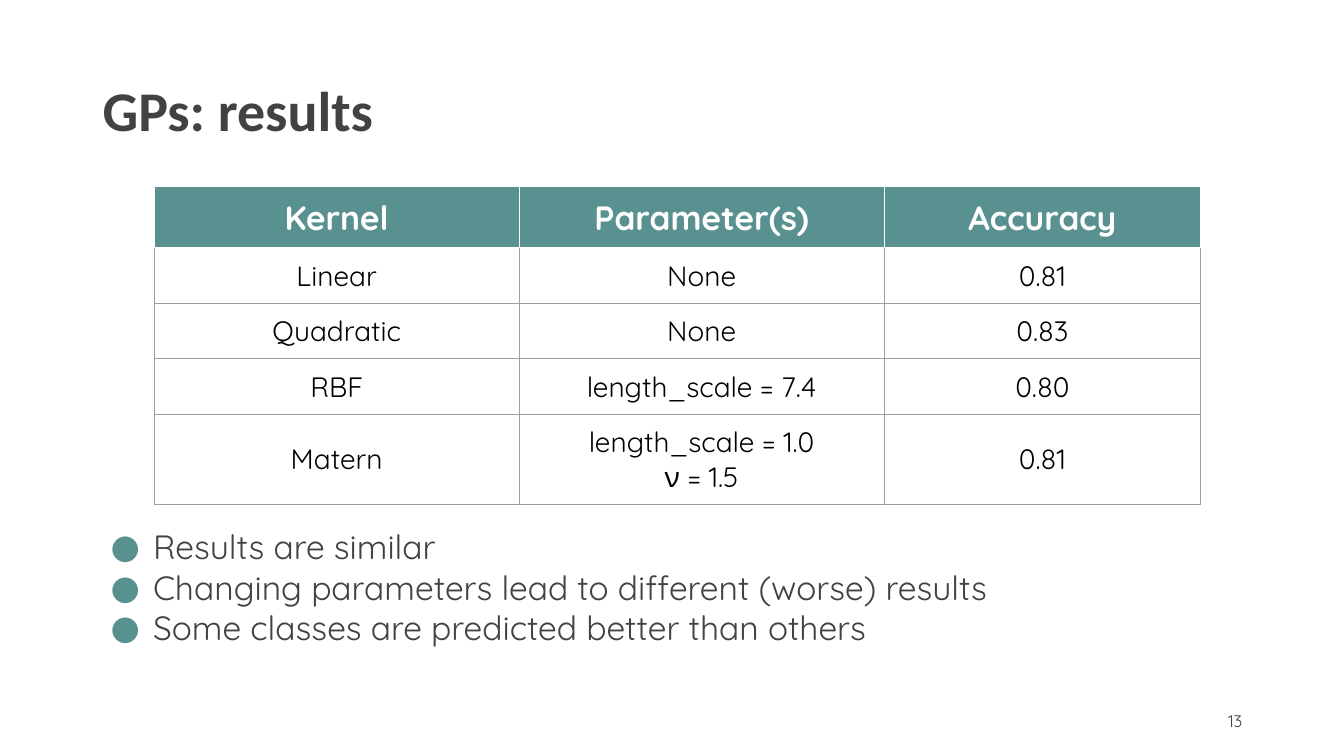
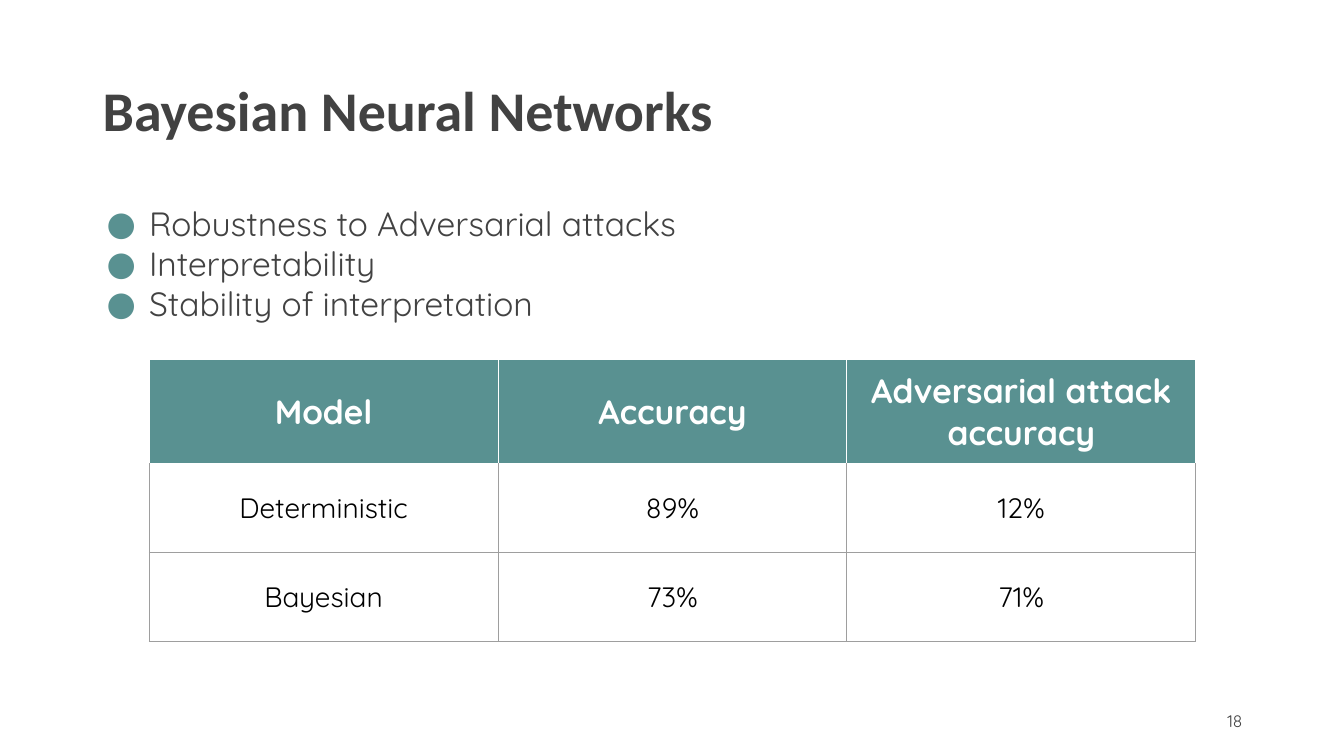
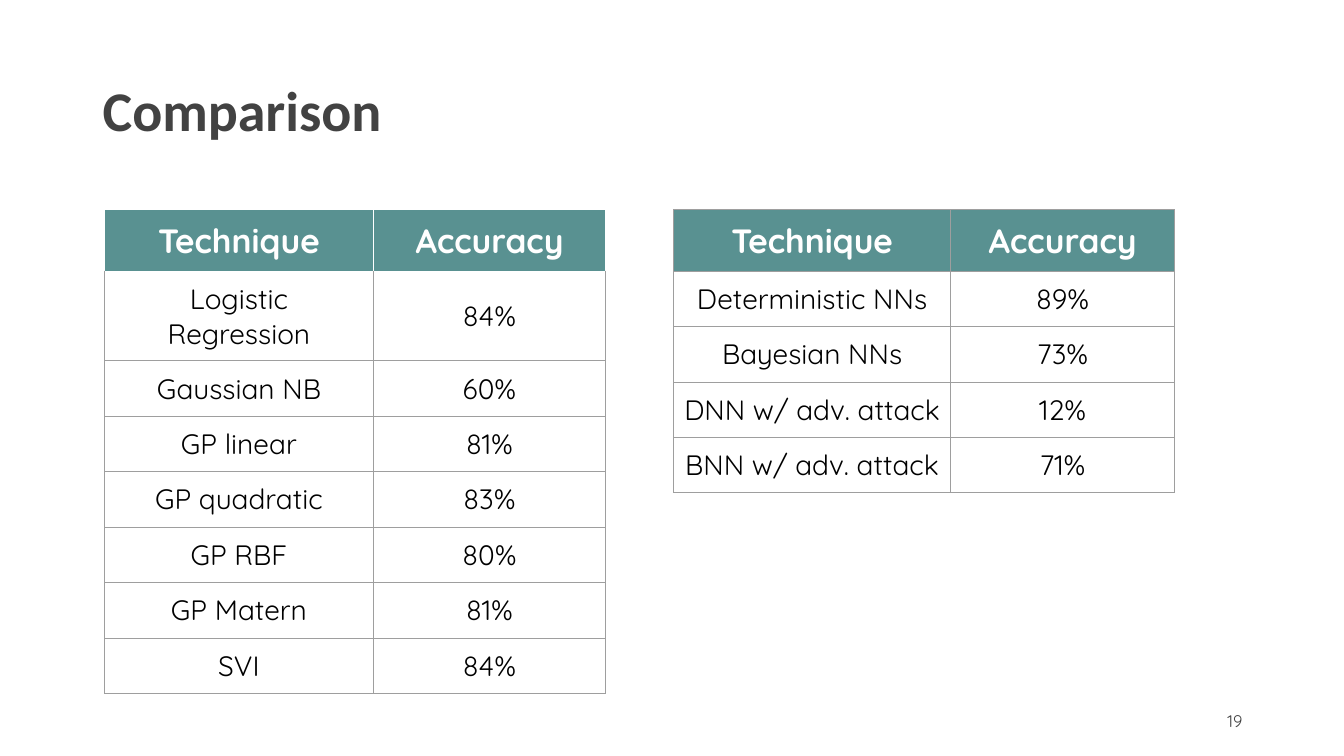
from lxml.etree import SubElement
from pptx import Presentation
from pptx.dml.color import RGBColor
from pptx.enum.text import MSO_ANCHOR, PP_ALIGN
from pptx.oxml.ns import qn
from pptx.util import Inches, Pt

# Shared style
TEAL = RGBColor(0x59, 0x91, 0x91)
DARK = RGBColor(0x42, 0x42, 0x42)
GREY = RGBColor(0x9E, 0x9E, 0x9E)
WHITE = RGBColor(0xFF, 0xFF, 0xFF)
BLACK = RGBColor(0x00, 0x00, 0x00)
TITLE_FONT = "Calibri"
BODY_FONT = "Quicksand"
HEADER_ROW = 0.61
BODY_ROW = 0.55
TWO_LINE_ROW = 0.89


def style_frame(frame, size, color, font=BODY_FONT, bold=False, align=PP_ALIGN.LEFT):
    for para in frame.paragraphs:
        para.alignment = align
        for span in para.runs:
            span.font.name = font
            span.font.size = Pt(size)
            span.font.bold = bold
            span.font.color.rgb = color


def add_text(page, text, left, top, width, height, anchor=MSO_ANCHOR.MIDDLE):
    box = page.shapes.add_textbox(Inches(left), Inches(top), Inches(width), Inches(height))
    frame = box.text_frame
    frame.word_wrap = True
    frame.vertical_anchor = anchor
    frame.text = text
    return frame


def add_page(deck, title, number):
    """Blank page with the shared title and page number."""
    page = deck.slides.add_slide(deck.slide_layouts[6])
    frame = add_text(page, title, 0.92, 0.4, 11.5, 1.45)
    style_frame(frame, 40, DARK, TITLE_FONT, bold=True)
    frame.paragraphs[0].line_spacing = 0.9
    frame = add_text(page, str(number), 9.42, 6.95, 3, 0.4)
    style_frame(frame, 12, DARK, align=PP_ALIGN.RIGHT)
    return page


def add_bullets(page, lines, left, top, height):
    frame = add_text(page, "\n".join(lines), left, top, 11.5, height, MSO_ANCHOR.TOP)
    style_frame(frame, 24, DARK)
    frame.paragraphs[0].space_before = Pt(10)
    for para in frame.paragraphs:
        props = para._p.get_or_add_pPr()
        props.set("marL", str(Inches(0.5)))
        props.set("indent", str(Inches(-0.42)))
        color = SubElement(props, qn("a:buClr"))
        SubElement(color, qn("a:srgbClr"), val=str(TEAL))
        SubElement(props, qn("a:buFont"), typeface=BODY_FONT)
        SubElement(props, qn("a:buChar"), char="●")


def set_borders(cell, color, top_color):
    props = cell._tc.get_or_add_tcPr()
    for side in ("L", "R", "T", "B"):
        line = SubElement(props, qn(f"a:ln{side}"), w=str(Pt(0.75)))
        fill = SubElement(line, qn("a:solidFill"))
        SubElement(fill, qn("a:srgbClr"), val=str(top_color if side == "T" else color))


def style_cell(cell, is_header, border, top_border):
    cell.margin_left = cell.margin_right = Inches(0.1)
    cell.margin_top = cell.margin_bottom = Inches(0.1)
    cell.vertical_anchor = MSO_ANCHOR.MIDDLE
    # Borders come before the fill in the cell properties
    set_borders(cell, border, top_border)
    if is_header:
        cell.fill.solid()
        cell.fill.fore_color.rgb = TEAL
    else:
        cell.fill.background()
    style_frame(cell.text_frame, 24 if is_header else 20, WHITE if is_header else BLACK,
                bold=is_header, align=PP_ALIGN.CENTER)


def add_grid(page, rows, left, top, widths, heights, header_border=WHITE):
    """Table with a teal header row; the header border also tops the first body row."""
    table = page.shapes.add_table(len(rows), len(widths), Inches(left), Inches(top),
                                  Inches(sum(widths)), Inches(sum(heights))).table
    table.horz_banding = False
    for column, width in zip(table.columns, widths):
        column.width = Inches(width)
    for index, (values, height) in enumerate(zip(rows, heights)):
        table.rows[index].height = Inches(height)
        border = header_border if index == 0 else GREY
        top_border = header_border if index <= 1 else GREY
        for column, value in enumerate(values):
            cell = table.cell(index, column)
            cell.text_frame.text = value
            style_cell(cell, index == 0, border, top_border)


def main():
    deck = Presentation()
    deck.slide_width = Inches(13.33)
    deck.slide_height = Inches(7.5)

    # Gaussian process results
    page = add_page(deck, "GPs: results", 13)
    kernels = [
        ("Kernel", "Parameter(s)", "Accuracy"),
        ("Linear", "None", "0.81"),
        ("Quadratic", "None", "0.83"),
        ("RBF", "length_scale = 7.4", "0.80"),
        ("Matern", "length_scale = 1.0\nν = 1.5", "0.81"),
    ]
    add_grid(page, kernels, 1.53, 1.85, [3.62, 3.62, 3.14],
             [HEADER_ROW] + [BODY_ROW] * 3 + [TWO_LINE_ROW])
    add_bullets(page, ["Results are similar",
                       "Changing parameters lead to different (worse) results",
                       "Some classes are predicted better than others"], 0.92, 5.17, 1.78)

    # Bayesian neural networks
    page = add_page(deck, "Bayesian Neural Networks", 18)
    add_bullets(page, ["Robustness to Adversarial attacks",
                       "Interpretability",
                       "Stability of interpretation"], 0.88, 1.96, 2.04)
    models = [
        ("Model", "Accuracy", "Adversarial attack accuracy"),
        ("Deterministic", "89%", "12%"),
        ("Bayesian", "73%", "71%"),
    ]
    add_grid(page, models, 1.48, 3.57, [3.46] * 3, [1.03, 0.88, 0.88])

    # Comparison of techniques
    page = add_page(deck, "Comparison", 19)
    header = ("Technique", "Accuracy")
    classical = [
        header,
        ("Logistic Regression", "84%"),
        ("Gaussian NB", "60%"),
        ("GP linear", "81%"),
        ("GP quadratic", "83%"),
        ("GP RBF", "80%"),
        ("GP Matern", "81%"),
        ("SVI", "84%"),
    ]
    networks = [
        header,
        ("Deterministic NNs", "89%"),
        ("Bayesian NNs", "73%"),
        ("DNN w/ adv. attack", "12%"),
        ("BNN w/ adv. attack", "71%"),
    ]
    add_grid(page, classical, 1.04, 2.08, [2.66, 2.31],
             [HEADER_ROW, TWO_LINE_ROW] + [BODY_ROW] * 6)
    add_grid(page, networks, 6.68, 2.08, [2.75, 2.22],
             [HEADER_ROW] + [BODY_ROW] * 4, header_border=GREY)

    deck.save("out.pptx")


if __name__ == "__main__":
    main()
